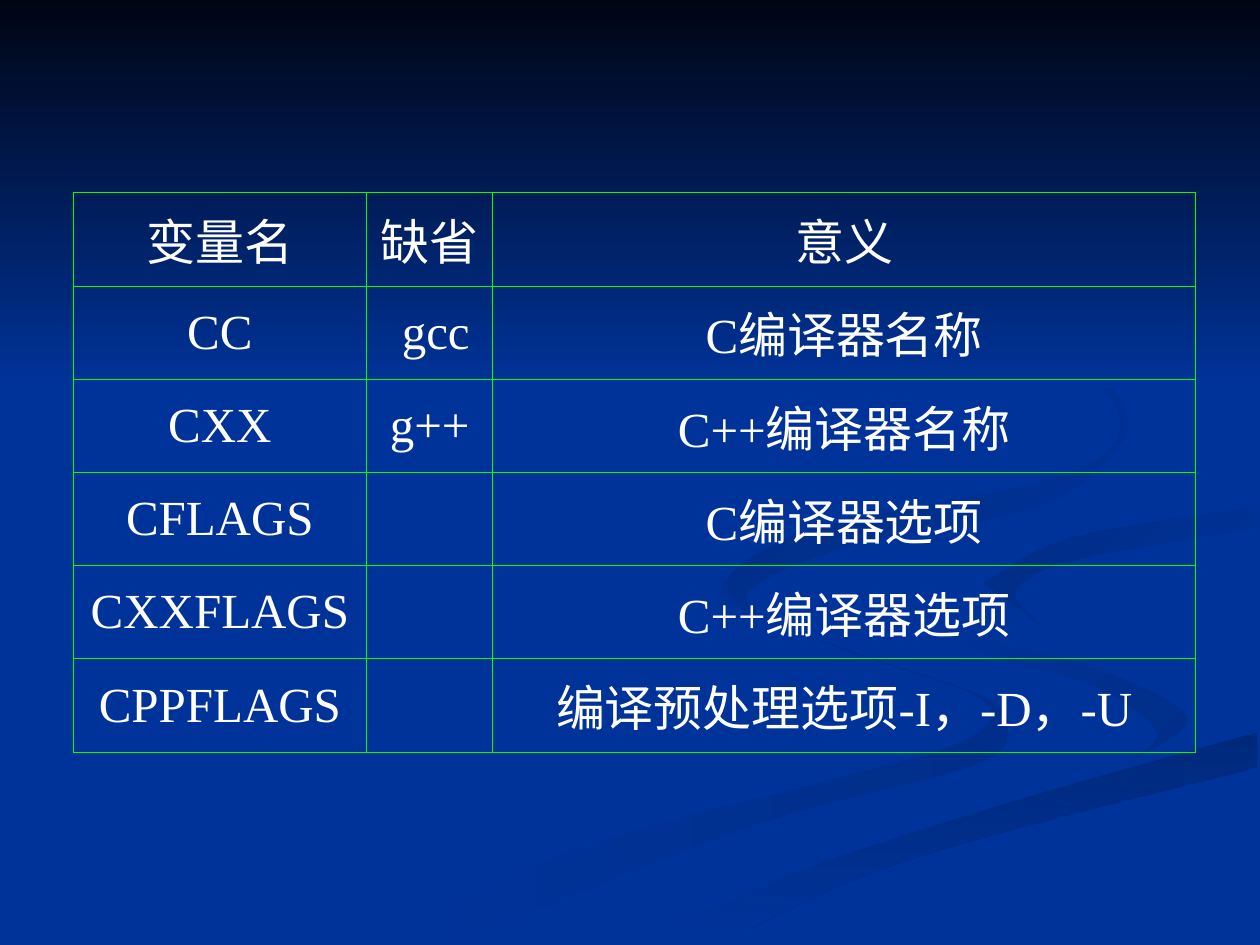
from dataclasses import dataclass
from typing import Optional

from lxml.etree import SubElement
from pptx import Presentation
from pptx.dml.color import RGBColor
from pptx.enum.text import MSO_ANCHOR, PP_ALIGN
from pptx.oxml.ns import qn
from pptx.util import Inches, Pt

BLUE = RGBColor(0x00, 0x33, 0x99)
NIGHT = RGBColor(0x00, 0x05, 0x14)
SHADE_1 = RGBColor(0x00, 0x2E, 0x8A)
SHADE_2 = RGBColor(0x00, 0x29, 0x7C)
SHADE_3 = RGBColor(0x00, 0x2C, 0x85)
SHADE_4 = RGBColor(0x00, 0x2B, 0x81)
WHITE = RGBColor(0xFF, 0xFF, 0xFF)
GREEN = RGBColor(0x00, 0xFF, 0x00)

CELL_FORMAT = {
    "vertical_anchor": MSO_ANCHOR.MIDDLE,
    "margin_left": Inches(0.1),
    "margin_right": Inches(0.1),
    "margin_top": Inches(0.05),
    "margin_bottom": Inches(0.05),
}
FONT_FORMAT = {"name": "Times New Roman", "size": Pt(28), "bold": False}
COLUMN_WIDTHS = [2.33, 1, 5.58]
ROW_HEIGHT = 0.74
ROWS = [
    ("变量名", "缺省", "意义"),
    ("CC", " gcc", "C编译器名称"),
    ("CXX", "g++", "C++编译器名称"),
    ("CFLAGS", "", "C编译器选项"),
    ("CXXFLAGS", "", "C++编译器选项"),
    ("CPPFLAGS", "", "编译预处理选项-I，-D，-U"),
]

Point = tuple[float, float]
Edge = list[Point]

BEND = [(7.24, 4.64), (7.58, 4.98), (8.7, 5.3), (9.43, 5.7), (8.94, 6.05)]
LOW_EDGE = [(9.98, 5.81), (7.97, 6.38), (6.3, 6.93), (5.03, 7.49)]
HIGH_EDGE = [(7.81, 4.63), (8.5, 4.27), (9.98, 4.02)]


@dataclass
class Ribbon:
    edges: list[Edge]
    start: RGBColor
    end: Optional[RGBColor] = None
    angle: int = 0


RIBBONS = [
    Ribbon([
        [(5.75, 4.59), (5.94, 4.85), (6.82, 5.19), (7.81, 5.53), (8, 5.81),
         (7.69, 6.09), (5.94, 6.56), (3.61, 7.49)],
        [(3, 7.49), (4.58, 6.74), (6.84, 6.13), (7.74, 5.83), (7.76, 5.53),
         (6.79, 5.19), (5.72, 4.76)],
    ], SHADE_1, BLUE, 180),
    Ribbon([
        BEND,
        [BEND[-1], (9.18, 5.81), (8.68, 5.44), (7.66, 5.12), BEND[0]],
    ], SHADE_1, BLUE, 225),
    Ribbon([
        LOW_EDGE,
        [(5.71, 7.49), (7.22, 6.82), (9.98, 6.09)],
    ], SHADE_2, BLUE, 90),
    Ribbon([
        BEND + [(7.04, 6.55), (4.77, 7.49)],
        LOW_EDGE[::-1],
        [(9.98, 5.38), (8.66, 5.09), HIGH_EDGE[0]],
        HIGH_EDGE,
        [(9.98, 3.87), (8.3, 4.15), BEND[0]],
    ], BLUE),
    Ribbon([
        HIGH_EDGE,
        [(9.98, 4.2), (8.59, 4.43), (8.06, 4.68), (8.26, 4.96)],
    ], BLUE, SHADE_3, 225),
    Ribbon([
        [(7.62, 2.33), (8.64, 2.91), (8.94, 3.44), (8.25, 4.02), (6.83, 4.3),
         (5.93, 4.7), (6.22, 5)],
        [(6.22, 5), (5.77, 4.62), (6.49, 4.2), (8.42, 3.78), (8.89, 3.35),
         (8.46, 2.79), (7.62, 2.33)],
    ], BLUE, SHADE_4, 225),
    Ribbon([[(0, 0), (0, 3.08)], [(10, 3.08), (10, 0)]], NIGHT, BLUE, 90),
]


def spline(a: float, b: float, c: float, d: float, t: float) -> float:
    return b + t / 2 * (c - a + t * (2 * a - 5 * b + 4 * c - d
                                     + t * (3 * (b - c) + d - a)))


def smooth_edge(edge: Edge, steps: int = 6) -> Edge:
    if len(edge) == 2:
        return edge
    padded = [edge[0], *edge, edge[-1]]
    curve = [edge[0]]
    for knots in zip(padded, padded[1:], padded[2:], padded[3:]):
        xs, ys = zip(*knots)
        for i in range(1, steps + 1):
            curve.append((spline(*xs, i / steps), spline(*ys, i / steps)))
    return curve


def draw_ribbon(s, ribbon: Ribbon) -> None:
    points = [(Inches(x), Inches(y))
              for edge in ribbon.edges for x, y in smooth_edge(edge)]
    builder = s.shapes.build_freeform(*points[0])
    builder.add_line_segments(points[1:], close=True)
    sp = builder.convert_to_shape()
    sp.shadow.inherit = False
    sp.line.fill.background()
    if ribbon.end is None:
        sp.fill.solid()
        sp.fill.fore_color.rgb = ribbon.start
        return
    sp.fill.gradient()
    sp.fill.gradient_angle = 360 - ribbon.angle
    stops = zip(sp.fill.gradient_stops, (ribbon.start, ribbon.end))
    for position, (stop, color) in enumerate(stops):
        stop.color.rgb = color
        stop.position = position


def format_font(font) -> None:
    for name, value in FONT_FORMAT.items():
        setattr(font, name, value)
    font.color.rgb = WHITE


def format_cell(cell, text: str) -> None:
    for name, value in CELL_FORMAT.items():
        setattr(cell, name, value)
    tc_pr = cell._tc.get_or_add_tcPr()
    for side in ("a:lnL", "a:lnR", "a:lnT", "a:lnB"):
        ln = SubElement(tc_pr, qn(side), w=str(Pt(0.45)))
        fill = SubElement(ln, qn("a:solidFill"))
        SubElement(fill, qn("a:srgbClr"), val=str(GREEN))
    cell.fill.background()
    p = cell.text_frame.paragraphs[0]
    p.alignment = PP_ALIGN.CENTER
    format_font(p.font)
    if text:
        r = p.add_run()
        r.text = text
        format_font(r.font)


def draw_table(s) -> None:
    frame = s.shapes.add_table(
        len(ROWS), len(COLUMN_WIDTHS), Inches(0.58), Inches(1.53),
        Inches(sum(COLUMN_WIDTHS)), Inches(ROW_HEIGHT * len(ROWS)))
    table = frame.table
    table.first_row = table.horz_banding = False
    for column, width in zip(table.columns, COLUMN_WIDTHS):
        column.width = Inches(width)
    for row, texts in zip(table.rows, ROWS):
        row.height = Inches(ROW_HEIGHT)
        for cell, text in zip(row.cells, texts):
            format_cell(cell, text)


def main() -> None:
    prs = Presentation()
    prs.slide_width, prs.slide_height = Inches(10), Inches(7.5)
    s = prs.slides.add_slide(prs.slide_layouts[6])
    s.background.fill.solid()
    s.background.fill.fore_color.rgb = BLUE
    for ribbon in RIBBONS:
        draw_ribbon(s, ribbon)
    draw_table(s)
    prs.save("out.pptx")


if __name__ == "__main__":
    main()
